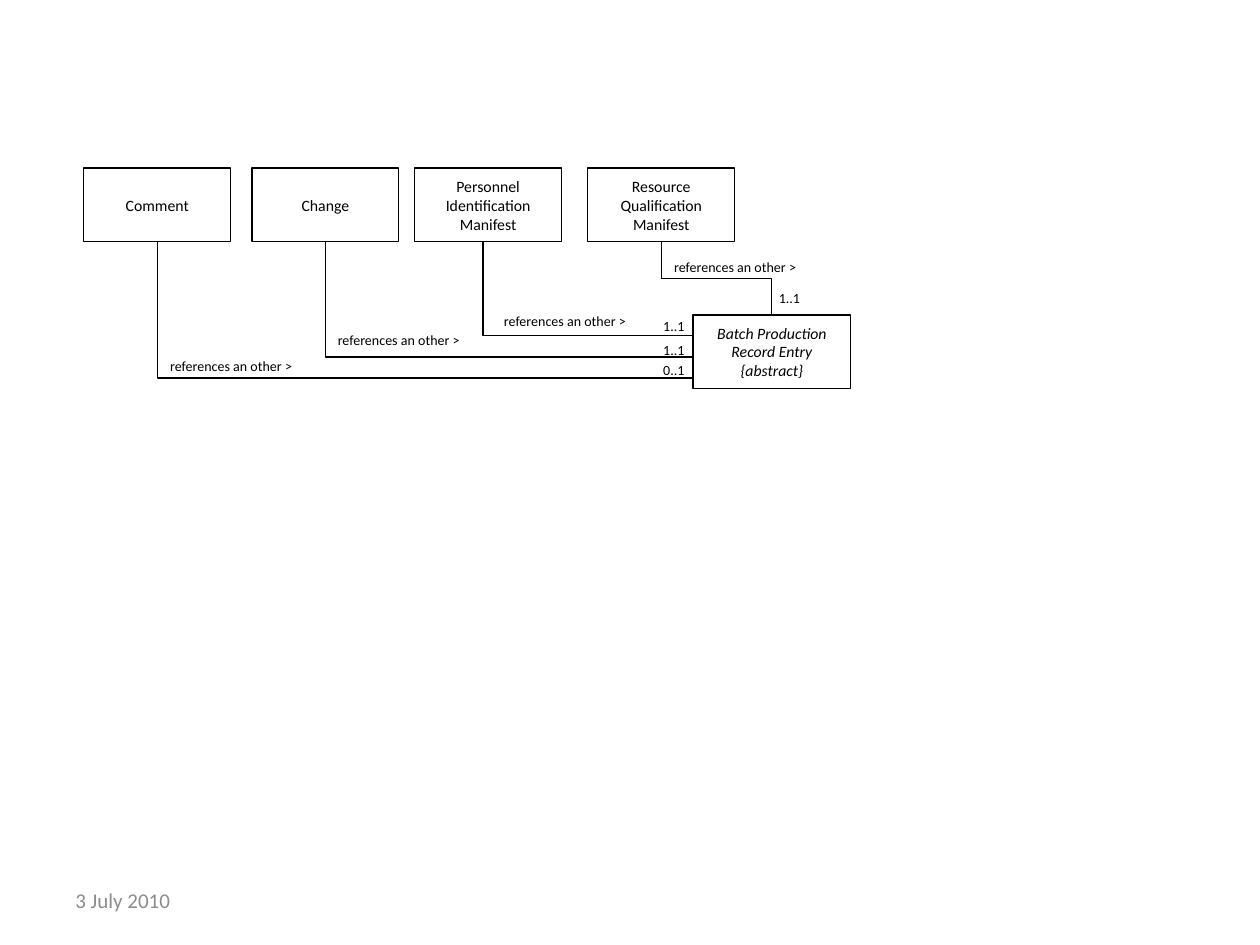
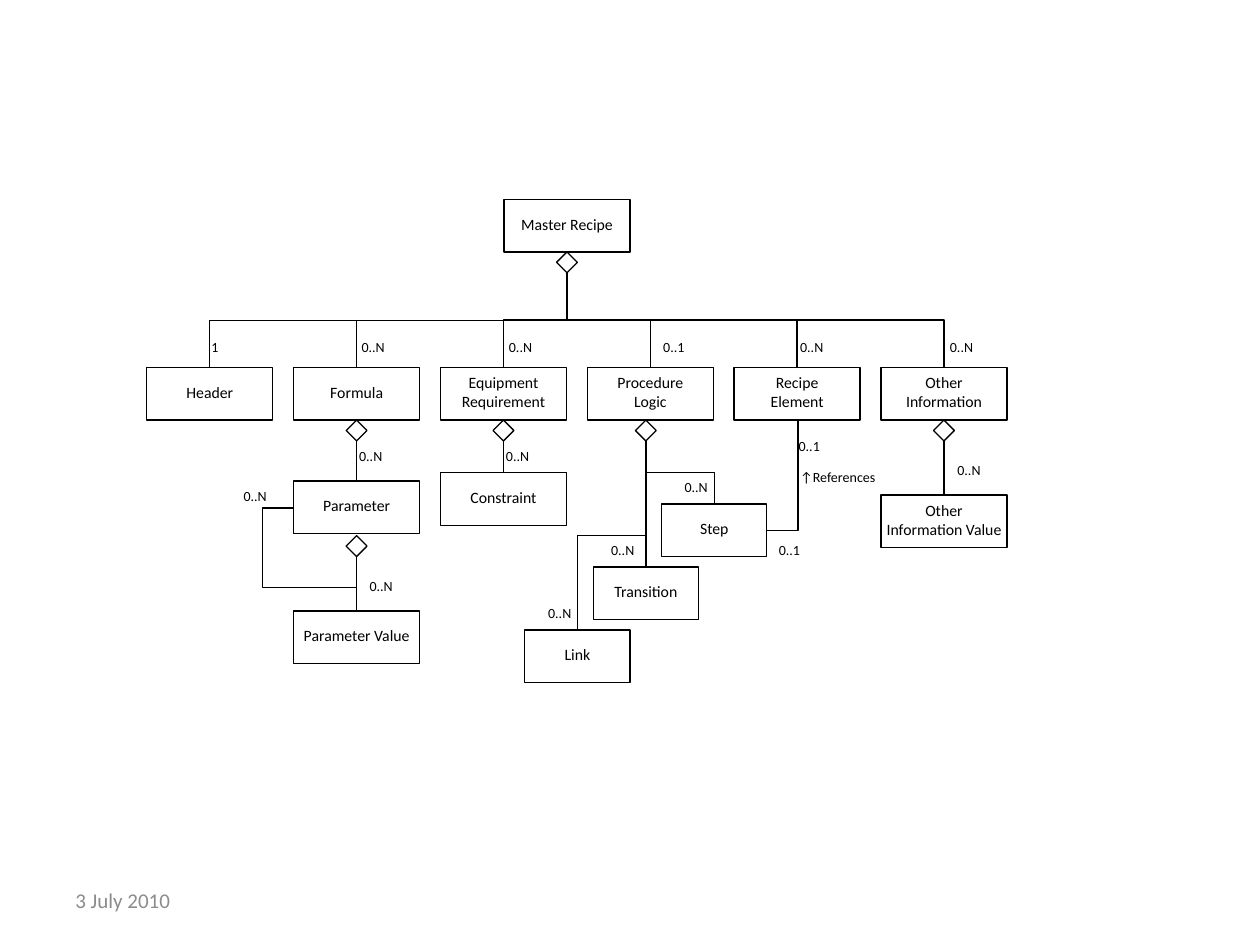
import pptx
import pptx.util
import pptx.dml.color
import pptx.enum.shapes
import pptx.enum.text
import pptx.oxml.ns
import lxml.etree

Cm = pptx.util.Cm
Pt = pptx.util.Pt
SHAPES = pptx.enum.shapes.MSO_SHAPE
CONNECTORS = pptx.enum.shapes.MSO_CONNECTOR
MIDDLE = pptx.enum.text.MSO_ANCHOR.MIDDLE
BLACK = pptx.dml.color.RGBColor(0x00, 0x00, 0x00)
WHITE = pptx.dml.color.RGBColor(0xFF, 0xFF, 0xFF)
GRAY = pptx.dml.color.RGBColor(0x8C, 0x8C, 0x8C)
FONT = "Calibri"
LINE_WIDTH = Pt(0.75)

DATE = "3 July 2010"
REFERENCES = "references an other >"
LABEL_WIDTHS = {"1": 0.66, "0..1": 0.99, "1..1": 0.99, "0..N": 1.04,
                "↑References": 2.21, REFERENCES: 3.38}
LABEL_HEIGHT = 0.58

SOURCE_TOP, SOURCE_WIDTH, SOURCE_HEIGHT = 3.39, 2.96, 1.48
SOURCE_BOTTOM = SOURCE_TOP + SOURCE_HEIGHT
SOURCES = [
    ("Comment", 1.69),
    ("Change", 5.08),
    ("Personnel Identification Manifest", 8.36),
    ("Resource Qualification Manifest", 11.85),
]
ENTRY_TEXT = "Batch Production Record Entry\n{abstract}"
ENTRY_LEFT, ENTRY_TOP, ENTRY_WIDTH = 13.97, 6.35, 3.18
REFERENCE_LANES = [(3.18, 7.62), (6.56, 7.2), (9.74, 6.77)]
ENTRY_LABELS = {
    REFERENCES: [(3.18, 7.09), (6.56, 6.56), (9.91, 6.17), (13.34, 5.08)],
    "0..1": [(13.12, 7.16)],
    "1..1": [(13.12, 6.76), (13.12, 6.27), (15.45, 5.72)],
}

PART_WIDTH, PART_HEIGHT, PART_PITCH = 2.54, 1.06, 2.96
STEP_WIDTH, DIAMOND = 2.12, 0.42
RECIPE_LEFT, RECIPE_TOP, PARTS_TOP = 10.16, 4.02, 7.41
PARTS_BOTTOM = PARTS_TOP + PART_HEIGHT
PARTS = ["Header", "Formula", "Equipment\nRequirement", "Procedure\nLogic",
         "Recipe\nElement", "Other\nInformation"]
DETAILS = [
    ("Parameter", 1, PARTS_BOTTOM, 9.7),
    ("Parameter Value", 1, 10.8, 12.32),
    ("Constraint", 2, PARTS_BOTTOM, 9.53),
    ("Other\nInformation Value", 5, PARTS_BOTTOM, 9.98),
]
LOGIC_CENTER = 13.02
LOGIC_ITEMS = ["Link", "Transition", "Step"]
LOGIC_LEFT, LOGIC_TOP, LOGIC_SHIFT, LOGIC_RISE = 10.58, 12.7, 1.38, 1.27
PARAMETER_LOOP = [(5.92, 10.24), (5.29, 10.24), (5.29, 11.85), (7.19, 11.85)]
STEP_REFERENCE = [(15.45, 10.69), (16.09, 10.69), (16.09, PARTS_BOTTOM)]
RECIPE_LABELS = {
    "1": [(4.01, 6.71)],
    "0..N": [(7.04, 6.71), (10.01, 6.71), (15.88, 6.71), (18.9, 6.71),
             (6.99, 8.89), (9.95, 8.89), (10.8, 12.07), (13.55, 9.53),
             (12.07, 10.8), (4.66, 9.7), (7.2, 11.51), (19.05, 9.17)],
    "0..1": [(13.12, 6.71), (15.45, 10.8), (15.85, 8.69)],
    "↑References": [(15.88, 9.32)],
}


def write(shape, text, size, color=BLACK, align=None, italic=None):
    shape.text_frame.text = text
    for para in shape.text_frame.paragraphs:
        para.alignment = align
        para.font.name = FONT
        para.font.size = Pt(size)
        para.font.color.rgb = color
        para.font.italic = italic


def outline(shape):
    shape.shadow.inherit = False
    shape.line.color.rgb = BLACK
    shape.line.width = LINE_WIDTH


def add_node(page, kind, left, top, width, height):
    node = page.shapes.add_shape(kind, Cm(left), Cm(top), Cm(width), Cm(height))
    outline(node)
    node.fill.solid()
    node.fill.fore_color.rgb = WHITE
    return node


def add_box(page, text, left, top, width, height, italic=None):
    box = add_node(page, SHAPES.RECTANGLE, left, top, width, height)
    box.text_frame.vertical_anchor = MIDDLE
    box.text_frame.word_wrap = True
    write(box, text, 9, align=pptx.enum.text.PP_ALIGN.CENTER, italic=italic)
    return box


def add_part(page, text, left, top, width=PART_WIDTH):
    part = add_box(page, text, left, top, width, PART_HEIGHT)
    part.text_frame.word_wrap = False
    part.text_frame.margin_top = Cm(0.05)


def add_diamond(page, center, top):
    add_node(page, SHAPES.DIAMOND, center - DIAMOND / 2, top, DIAMOND, DIAMOND)
    return top + DIAMOND


def add_route(page, points):
    corners = [(Cm(x), Cm(y)) for x, y in points]
    builder = page.shapes.build_freeform(*corners[0], scale=1.0)
    builder.add_line_segments(corners[1:], close=False)
    route = builder.convert_to_shape()
    outline(route)
    route.fill.background()


def add_link(page, x1, y1, x2, y2):
    kind, turn = CONNECTORS.STRAIGHT, None
    if abs(x2 - x1) > 0.02:
        kind = CONNECTORS.ELBOW
        turn = 270 if x2 > x1 else 90
        middle_x, middle_y = (x1 + x2) / 2, (y1 + y2) / 2
        reach = (y2 - y1) / 2 if turn == 270 else (y1 - y2) / 2
        spread = abs(x2 - x1) / 2
        x1, x2 = middle_x + reach, middle_x - reach
        y1, y2 = middle_y - spread, middle_y + spread
    link = page.shapes.add_connector(kind, Cm(x1), Cm(y1), Cm(x2), Cm(y2))
    link.line.color.rgb = BLACK
    link.line.width = LINE_WIDTH
    qn = pptx.oxml.ns.qn
    properties = link._element.spPr
    lxml.etree.SubElement(properties, qn("a:effectLst"))
    if turn:
        properties.find(qn("a:xfrm")).set("rot", str(turn * 60000))


def add_labels(page, labels):
    for text, places in labels.items():
        for left, top in places:
            label = page.shapes.add_textbox(
                Cm(left), Cm(top), Cm(LABEL_WIDTHS[text]), Cm(LABEL_HEIGHT))
            label.text_frame.word_wrap = False
            label.text_frame.auto_size = pptx.enum.text.MSO_AUTO_SIZE.SHAPE_TO_FIT_TEXT
            write(label, text, 8)


def add_page(deck):
    page = deck.slides.add_slide(deck.slide_layouts.get_by_name("Blank"))
    date = page.shapes.add_textbox(Cm(1.27), Cm(17.65), Cm(5.93), Cm(1.01))
    date.text_frame.word_wrap = True
    date.text_frame.vertical_anchor = MIDDLE
    write(date, DATE, 12, GRAY)
    return page


def build_entry_page(deck):
    page = add_page(deck)
    for text, left in SOURCES:
        add_box(page, text, left, SOURCE_TOP, SOURCE_WIDTH, SOURCE_HEIGHT)
    add_box(page, ENTRY_TEXT, ENTRY_LEFT, ENTRY_TOP, ENTRY_WIDTH, SOURCE_HEIGHT, True)
    for x, lane in REFERENCE_LANES:
        add_route(page, [(x, SOURCE_BOTTOM), (x, lane), (ENTRY_LEFT, lane)])
    add_link(page, SOURCES[-1][1] + SOURCE_WIDTH / 2, SOURCE_BOTTOM,
             ENTRY_LEFT + ENTRY_WIDTH / 2, ENTRY_TOP)
    add_labels(page, ENTRY_LABELS)


def build_recipe_page(deck):
    page = add_page(deck)
    lefts = [PART_PITCH * (column + 1) for column in range(len(PARTS))]
    centers = [left + PART_WIDTH / 2 for left in lefts]

    recipe_center = RECIPE_LEFT + PART_WIDTH / 2
    add_part(page, "Master Recipe", RECIPE_LEFT, RECIPE_TOP)
    start = add_diamond(page, recipe_center, RECIPE_TOP + PART_HEIGHT)
    for text, left, center in zip(PARTS, lefts, centers):
        add_part(page, text, left, PARTS_TOP)
        add_link(page, recipe_center, start, center, PARTS_TOP)

    for text, column, diamond_top, top in DETAILS:
        add_part(page, text, lefts[column], top)
        start = add_diamond(page, centers[column], diamond_top)
        add_link(page, centers[column], start, centers[column], top)

    start = add_diamond(page, LOGIC_CENTER, PARTS_BOTTOM)
    for index, text in enumerate(LOGIC_ITEMS):
        left = LOGIC_LEFT + index * LOGIC_SHIFT
        top = LOGIC_TOP - index * LOGIC_RISE
        add_part(page, text, left, top, STEP_WIDTH)
        add_link(page, LOGIC_CENTER, start, left + STEP_WIDTH / 2, top)

    add_route(page, PARAMETER_LOOP)
    add_route(page, STEP_REFERENCE)
    add_labels(page, RECIPE_LABELS)


def main():
    deck = pptx.Presentation()
    deck.slide_width, deck.slide_height = Cm(25.4), Cm(19.05)
    build_entry_page(deck)
    build_recipe_page(deck)
    deck.save("out.pptx")


if __name__ == "__main__":
    main()
